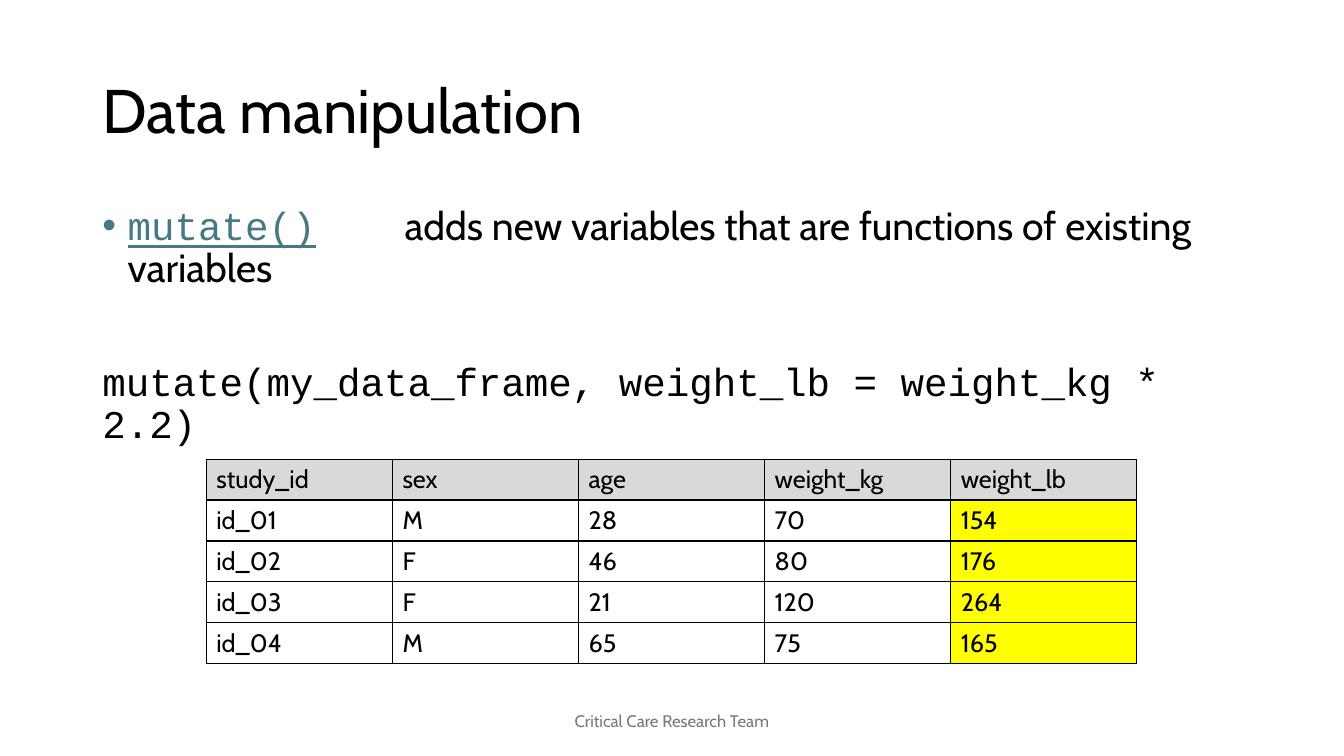
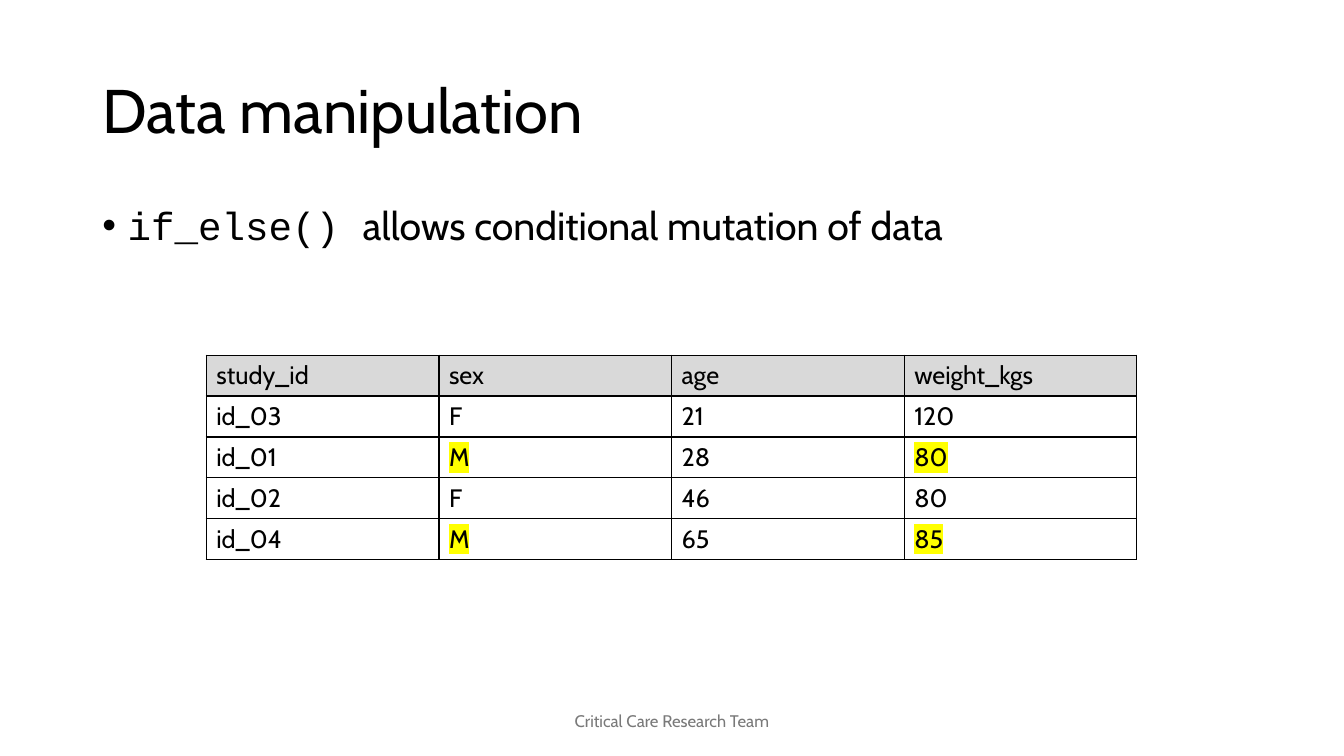
from lxml.etree import SubElement
from pptx import Presentation
from pptx.dml.color import RGBColor
from pptx.enum.text import MSO_ANCHOR as Anchor, PP_ALIGN as Align
from pptx.oxml.ns import qn
from pptx.util import Cm, Pt

# Shared style
BLACK = RGBColor(0x00, 0x00, 0x00)
FOOTER_GREY = RGBColor(0x79, 0x79, 0x79)
LINK_TEAL = RGBColor(0x46, 0x78, 0x86)
HEADER_GREY = RGBColor(0xD9, 0xD9, 0xD9)
YELLOW = RGBColor(0xFF, 0xFF, 0x00)
SANS, MONO = "Cabin", "Courier New"

# Regions: left, top, width, height
TITLE_BOX = Cm(2.33), Cm(1.01), Cm(29.21), Cm(3.68)
BODY_BOX = Cm(2.33), Cm(5.08), Cm(29.21), Cm(12.09)
FOOTER_BOX = Cm(11.22), Cm(17.65), Cm(11.43), Cm(1.01)
TABLE_LEFT, TABLE_WIDTH, ROW_HEIGHT = Cm(5.2), Cm(23.45), Cm(1.03)
BULLET_INDENT = Cm(0.64)
DESCRIPTION_TAB = Cm(7.62)


def add_run(paragraph, text, size, font=SANS, color=BLACK, underline=None, highlight=None):
    run = paragraph.add_run()
    run.text = text
    run.font.size = Pt(size)
    run.font.color.rgb = color
    run.font.underline = underline
    if highlight is not None:
        mark = SubElement(run.font._element, qn("a:highlight"))
        SubElement(mark, qn("a:srgbClr"), val=str(highlight))
    run.font.name = font


def add_text_frame(slide, box, anchor=Anchor.TOP):
    frame = slide.shapes.add_textbox(*box).text_frame
    frame.word_wrap = True
    frame.vertical_anchor = anchor
    return frame


def add_title(slide, box, text):
    title = add_text_frame(slide, box, Anchor.MIDDLE).paragraphs[0]
    title.line_spacing = 0.9
    add_run(title, text, 44)


def add_footer(slide, box, text):
    footer = add_text_frame(slide, box, Anchor.MIDDLE).paragraphs[0]
    footer.alignment = Align.CENTER
    add_run(footer, text, 12, color=FOOTER_GREY)


def set_bullet(paragraph, tab=None):
    props = paragraph._p.get_or_add_pPr()
    props.set("marL", str(BULLET_INDENT))
    props.set("indent", str(-BULLET_INDENT))
    SubElement(props, qn("a:buFont"), typeface="Arial")
    SubElement(props, qn("a:buChar"), char="•")
    if tab:
        stops = SubElement(props, qn("a:tabLst"))
        SubElement(stops, qn("a:tab"), pos=str(tab), algn="l")


def add_body(slide, box, bullet_runs, tab=None, code=None):
    """One bulleted explanation and, below it, an optional line of code."""
    frame = add_text_frame(slide, box)
    explanation = frame.paragraphs[0]
    set_bullet(explanation, tab)
    explanation.line_spacing = 0.9
    for text, style in bullet_runs:
        add_run(explanation, text, 28, **style)
    if code:
        example = frame.add_paragraph()
        example.line_spacing = 0.9
        example.space_before = Pt(51)
        add_run(example, code, 28, MONO)


def set_borders(cell):
    props = cell._tc.get_or_add_tcPr()
    for side in ("a:lnL", "a:lnR", "a:lnT", "a:lnB"):
        line = SubElement(props, qn(side), w=str(Pt(1)))
        fill = SubElement(line, qn("a:solidFill"))
        SubElement(fill, qn("a:srgbClr"), val=str(BLACK))


def add_data_table(slide, top, rows, filled=(), highlighted=()):
    """Grid of records; filled and highlighted hold (row, column) pairs."""
    column_count = len(rows[0])
    table = slide.shapes.add_table(len(rows), column_count, TABLE_LEFT, top,
                                   TABLE_WIDTH, ROW_HEIGHT * len(rows)).table
    table.first_row = table.horz_banding = False
    for column in table.columns:
        column.width = TABLE_WIDTH // column_count
    for r, record in enumerate(rows):
        table.rows[r].height = ROW_HEIGHT
        for c, value in enumerate(record):
            cell = table.cell(r, c)
            set_borders(cell)
            if r == 0 or (r, c) in filled:
                cell.fill.solid()
                cell.fill.fore_color.rgb = HEADER_GREY if r == 0 else YELLOW
            else:
                cell.fill.background()
            add_run(cell.text_frame.paragraphs[0], value, 18,
                    highlight=YELLOW if (r, c) in highlighted else None)


def add_slide(prs):
    slide = prs.slides.add_slide(prs.slide_layouts[6])
    add_title(slide, TITLE_BOX, "Data manipulation")
    add_footer(slide, FOOTER_BOX, "Critical Care Research Team")
    return slide


def build_mutate_slide(prs):
    slide = add_slide(prs)
    add_body(slide, BODY_BOX, [
        ("mutate()", dict(font=MONO, color=LINK_TEAL, underline=True)),
        ("\t", dict(font=MONO)),
        ("adds new variables that are functions of existing variables", {}),
    ], DESCRIPTION_TAB, "mutate(my_data_frame, weight_lb = weight_kg * 2.2)")
    add_data_table(slide, Cm(11.57), [
        ("study_id", "sex", "age", "weight_kg", "weight_lb"),
        ("id_01", "M", "28", "70", "154"),
        ("id_02", "F", "46", "80", "176"),
        ("id_03", "F", "21", "120", "264"),
        ("id_04", "M", "65", "75", "165"),
    ], filled=[(row, 4) for row in range(1, 5)])


def build_if_else_slide(prs):
    slide = add_slide(prs)
    add_body(slide, BODY_BOX, [
        ("if_else() ", dict(font=MONO)),
        ("allows conditional mutation of data", {}),
    ])
    add_data_table(slide, Cm(8.95), [
        ("study_id", "sex", "age", "weight_kgs"),
        ("id_03", "F", "21", "120"),
        ("id_01", "M", "28", "80"),
        ("id_02", "F", "46", "80"),
        ("id_04", "M", "65", "85"),
    ], highlighted=[(row, column) for row in (2, 4) for column in (1, 3)])


def main():
    prs = Presentation()
    prs.slide_width, prs.slide_height = Cm(33.87), Cm(19.05)
    build_mutate_slide(prs)
    build_if_else_slide(prs)
    prs.save("out.pptx")


if __name__ == "__main__":
    main()
